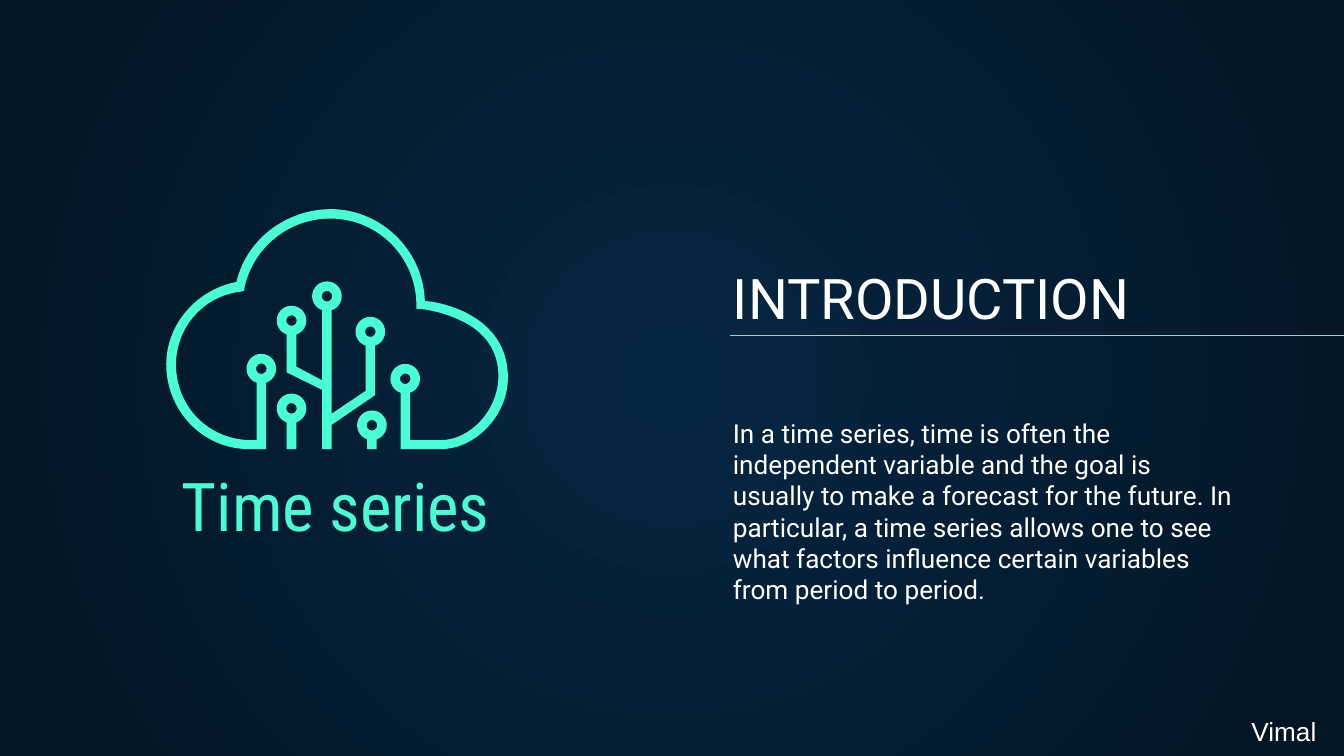
"""Build the introduction slide about time series."""
import math

from pptx import Presentation
from pptx import oxml
from pptx.dml import color
from pptx.enum import shapes, text
from pptx.oxml import ns
from pptx.util import Cm, Pt

COLORS = {"centre": "052643", "edge": "041523", "mint": "48FFD5", "white": "FFFFFF"}
STEM_HALF, RING_RADIUS, HOLE_RADIUS = 0.09, 0.28, 0.1
BASE, INNER_BASE = 8.49, 8.32
BODY = (
    "In a time series, time is often the independent variable and the goal is usually "
    "to make a forecast for the future. In particular, a time series allows one to see "
    "what factors influence certain variables from period to period."
)


def rgb(name):
    return color.RGBColor.from_string(COLORS[name])


def arc(centre, radius, start, end, pieces=3):
    """Return the first point of an arc and then its Bezier curves."""
    step = (end - start) / pieces
    pull = 4 / 3 * math.tan(step / 4)

    def spot(angle, along):
        return (centre[0] + radius * (math.cos(angle) - along * math.sin(angle)),
                centre[1] + radius * (math.sin(angle) + along * math.cos(angle)))

    angles = [start + step * i for i in range(pieces)]
    return [spot(start, 0)] + [
        spot(a, pull) + spot(a + step, -pull) + spot(a + step, 0) for a in angles]


def ring(node):
    """Go round a node from the right side of its stem to the left side."""
    gap = math.asin(STEM_HALF / RING_RADIUS)
    return arc(node, RING_RADIUS, math.pi / 2 - gap, gap - 1.5 * math.pi)


def stem_end(node, side, y):
    return node[0] + side * STEM_HALF, y


def bend(shape, sizes):
    """Turn each run of three drawn points that stands for a curve into one."""
    points = iter(list(shape.element.iter(ns.qn("a:lnTo"))))
    for size in sizes:
        group = [next(points) for _ in range(size // 2)]
        if len(group) == 3:
            cubic = oxml.parse_xml(f"<a:cubicBezTo {ns.nsdecls('a')}/>")
            group[0].addprevious(cubic)
            for point in group:
                cubic.append(point[0])
                point.getparent().remove(point)


def add_piece(icon, outline, nodes):
    """Draw a part of the icon from points and curves, with a hole in each node."""
    contours = [outline] + [arc(node, HOLE_RADIUS, 0, 2 * math.pi) for node in nodes]
    builder = icon.shapes.build_freeform(*map(Cm, outline[0]))
    for number, (start, *steps) in enumerate(contours):
        if number:
            builder.move_to(*map(Cm, start))
        flat = [(Cm(step[i]), Cm(step[i + 1])) for step in steps
                for i in range(0, len(step), 2)]
        builder.add_line_segments(flat, close=False)
    piece = builder.convert_to_shape()
    bend(piece, [len(step) for contour in contours for step in contour[1:]])
    piece.shadow.inherit = False
    piece.fill.solid()
    piece.fill.fore_color.rgb = rgb("mint")
    piece.line.fill.background()


def add_circuit(icon):
    right, middle, left = nodes = [(7, 6.27), (6.18, 5.6), (5.51, 6.06)]
    outline = [
        *ring(right), (6.91, 7.39), (6.27, 7.82),
        *ring(middle), (6.09, 7.19), (5.6, 6.93),
        *ring(left), (5.42, 7.04), (6.09, 7.37),
        (6.09, BASE), (6.27, BASE), (6.27, 8.03), (7.09, 7.47),
    ]
    add_piece(icon, outline, nodes)


def add_cloud(icon):
    left, right = nodes = [(4.94, 6.97), (7.66, 7.16)]
    outline = [
        (8.03, 5.69),
        (8, 4.78, 7.29, 4.04, 6.4, 3.96),
        (5.51, 3.89, 4.67, 4.47, 4.47, 5.33),
        (3.66, 5.49, 3.07, 6.22, 3.15, 7.04),
        (3.23, 7.87, 3.91, 8.51, 4.75, BASE),
        stem_end(left, 1, BASE), *ring(left), stem_end(left, -1, INNER_BASE),
        (4.75, INNER_BASE),
        (3.99, 8.32, 3.38, 7.75, 3.33, 6.99),
        (3.28, 6.25, 3.81, 5.59, 4.57, 5.51),
        (4.62, 5.49), (4.62, 5.44),
        (4.8, 4.62, 5.56, 4.06, 6.4, 4.14),
        (7.24, 4.22, 7.87, 4.93, 7.87, 5.77),
        (7.87, 5.84), (7.95, 5.84),
        (8.2, 5.87, 8.46, 5.94, 8.69, 6.05),
        (9.17, 6.27, 9.42, 6.63, 9.42, 7.11),
        (9.42, 7.75, 8.89, 8.32, 8.33, INNER_BASE),
        stem_end(right, 1, INNER_BASE), *ring(right), stem_end(right, -1, BASE),
        (8.33, BASE),
        (8.99, 8.49, 9.6, 7.85, 9.6, 7.14),
        (9.6, 5.97, 8.36, 5.71, 8.03, 5.69),
    ]
    add_piece(icon, outline, nodes)


def add_pin(icon, node):
    add_piece(icon, [*ring(node), stem_end(node, -1, BASE), stem_end(node, 1, BASE)], [node])


def write(box, place, content, font, size, ink="white", anchor="TOP", align="LEFT", inset=0.25):
    """Place a box and fill it with one formatted run."""
    box.left, box.top, box.width, box.height = [Cm(length) for length in place]
    frame = box.text_frame
    frame.word_wrap = True
    frame.auto_size = text.MSO_AUTO_SIZE.NONE
    frame.vertical_anchor = getattr(text.MSO_ANCHOR, anchor)
    frame.margin_left = frame.margin_right = Cm(0.25)
    frame.margin_top = frame.margin_bottom = Cm(inset)
    para = frame.paragraphs[0]
    para.alignment = getattr(text.PP_ALIGN, align)
    para.space_before = Pt(0)
    span = para.add_run()
    span.text = content
    span.font.name, span.font.size = font, Pt(size)
    span.font.color.rgb = rgb(ink)


def add_box(page):
    return page.shapes.add_textbox(0, 0, Cm(1), Cm(1))


def add_rule(page, left, right, y):
    rule = page.shapes.add_connector(
        shapes.MSO_CONNECTOR.STRAIGHT, Cm(left), Cm(y), Cm(right), Cm(y))
    rule.line.color.rgb = rgb("mint")
    rule.line.width = Pt(0.75)
    rule.element.spPr.append(oxml.parse_xml(f"<a:effectLst {ns.nsdecls('a')}/>"))


def paint_background(page):
    """Fill the page with a gradient that spreads from its centre."""
    fill = page.background.fill
    fill.gradient()
    for stop, name in zip(fill.gradient_stops, ("centre", "edge")):
        stop.color.rgb = rgb(name)
    gradient = page.element.find(".//" + ns.qn("a:gradFill"))
    gradient.replace(gradient.find(ns.qn("a:lin")), oxml.parse_xml(
        f'<a:path {ns.nsdecls("a")} path="circle">'
        '<a:fillToRect l="50000" t="50000" r="50000" b="50000"/></a:path>'))


def main():
    deck = Presentation()
    deck.slide_width, deck.slide_height = Cm(25.4), Cm(14.29)
    page = deck.slides.add_slide(deck.slide_layouts[0])
    paint_background(page)
    title, body = page.placeholders
    write(title, (13.6, 4.83, 9.8, 1.68), "INTRODUCTION", "Roboto", 30, anchor="BOTTOM")
    write(body, (13.6, 7.63, 10, 5.08), BODY, "Roboto", 14)
    add_rule(page, 13.8, 26.16, 6.34)
    icon = page.shapes.add_group_shape()
    add_circuit(icon)
    add_cloud(icon)
    for node in ((5.51, 7.72), (7.03, 8.04)):
        add_pin(icon, node)
    write(add_box(page), (2.92, 8.87, 6.86, 1.68), "Time series", "Roboto Condensed", 36,
          ink="mint", anchor="BOTTOM", align="CENTER")
    write(add_box(page), (23.4, 13.39, 2.1, 0.86), "Vimal", "Arial", 14, inset=0.13)
    deck.save("out.pptx")


if __name__ == "__main__":
    main()
